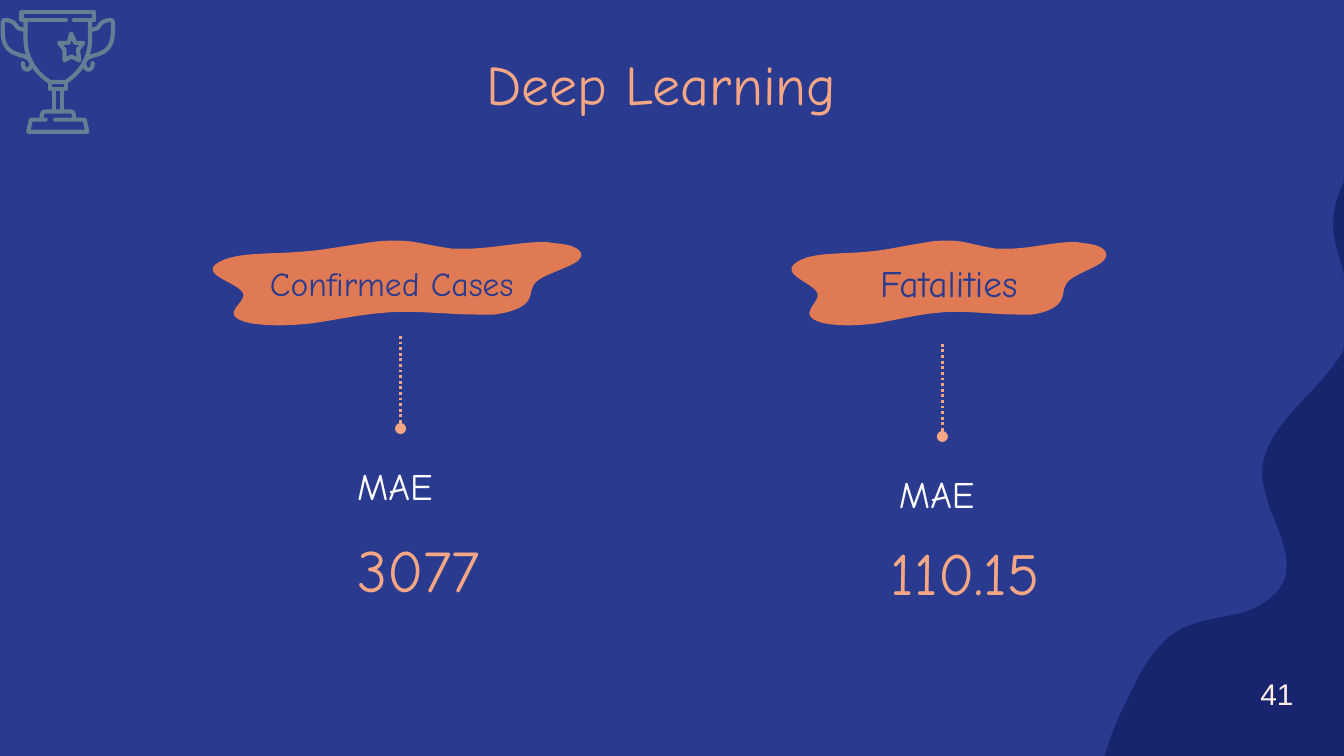
from dataclasses import dataclass

from lxml.etree import SubElement
from pptx import Presentation
from pptx.dml.color import RGBColor
from pptx.enum.dml import MSO_LINE
from pptx.enum.shapes import MSO_CONNECTOR
from pptx.enum.text import MSO_ANCHOR, PP_ALIGN
from pptx.oxml.ns import qn
from pptx.util import Cm, Pt


@dataclass(frozen=True)
class Theme:
    font: str = "Comic Neue"
    number_font: str = "Arial"
    background: str = "293A8F"
    wave: str = "18246E"
    icon: str = "657E93"
    splash: str = "E07A54"
    accent: str = "F5A785"
    light: str = "FFFFFF"
    number: str = "FDEDE7"
    title_size: int = 30
    value_size: int = 32
    label_size: int = 20
    number_size: int = 16
    dotted_width: float = 1.5
    icon_width: float = 2.25


THEME = Theme()
WIDTH, HEIGHT = 25.4, 14.29
INCH = 2.54
INSET = 0.25

TITLE = "Deep Learning"
PAGE_NUMBER = "41"
COLUMNS = [
    dict(heading="Confirmed Cases", size=18, splash=(3.73, 7.34), nudge=0.2,
         stem=(7.57, 6.35), metric="MAE", value="3077", value_at=(5.82, 9.42)),
    dict(heading="Fatalities", size=20, splash=(14.71, 6.27), nudge=0,
         stem=(17.81, 6.5), metric="MAE", value="110.15", value_at=(16.15, 9.47)),
]
SPLASH_TOP, SPLASH_WIDTH = 4.55, 2.89
STEM_LENGTH = 1.75

WAVE = [
    (10.8, 0.85), (10.73, 0.86, 10.64, 0.88, 10.56, 0.91),
    (10.24, 1.04, 9.91, 1.31, 9.92, 1.68), (9.93, 1.93, 10.09, 2.15, 10.07, 2.39),
    (10.02, 2.84, 9.39, 3.08, 9.39, 3.53), (9.4, 3.61, 9.42, 3.7, 9.45, 3.79),
    (9.47, 3.84, 9.5, 3.9, 9.52, 3.96), (9.57, 4.1, 9.6, 4.23, 9.54, 4.35),
    (9.47, 4.47, 9.33, 4.54, 9.2, 4.57), (9.06, 4.6, 8.91, 4.62, 8.79, 4.68),
    (8.6, 4.78, 8.49, 4.99, 8.4, 5.18), (8.26, 5.46, 8.12, 5.78, 8.23, 6.07),
    (10, 6.07),
]
SPLASH = [
    (1.48, 0), (1.42, 0, 1.35, 0, 1.24, 0.02), (1.01, 0.05, 0.91, 0.08, 0.64, 0.09),
    (0.42, 0.1, 0.27, 0.1, 0.16, 0.16), (0, 0.25, 0.3, 0.31, 0.34, 0.39),
    (0.37, 0.46, 0.17, 0.54, 0.34, 0.6), (0.4, 0.62, 0.5, 0.63, 0.6, 0.63),
    (0.72, 0.63, 0.85, 0.62, 0.95, 0.6), (1.14, 0.57, 1.32, 0.53, 1.55, 0.53),
    (1.73, 0.53, 1.91, 0.55, 2.08, 0.55), (2.12, 0.55, 2.17, 0.55, 2.21, 0.55),
    (2.37, 0.53, 2.45, 0.48, 2.47, 0.43), (2.49, 0.39, 2.48, 0.34, 2.53, 0.3),
    (2.59, 0.25, 2.74, 0.21, 2.82, 0.16), (2.89, 0.11, 2.87, 0.04, 2.68, 0.02),
    (2.65, 0.02, 2.62, 0.01, 2.58, 0.01), (2.39, 0.01, 2.19, 0.06, 2, 0.06),
    (1.97, 0.06, 1.93, 0.06, 1.9, 0.06), (1.68, 0.03, 1.63, 0, 1.48, 0),
]
RIM = [(0.55, 0.15), (0.7, 0.15), (0.7, 0.09), (0.16, 0.09), (0.16, 0.15), (0.49, 0.15)]
CUP = [(0.19, 0.15), (0.19, 0.29), (0.19, 0.42, 0.25, 0.53, 0.37, 0.61), (0.43, 0.61)]
HANDLE = [
    (0.19, 0.22), (0.15, 0.22, 0.13, 0.21, 0.12, 0.19), (0.1, 0.16, 0.07, 0.15, 0.04, 0.15),
    (0.02, 0.15, 0.02, 0.16, 0.02, 0.18), (0.02, 0.23),
    (0.02, 0.37, 0.09, 0.39, 0.15, 0.41), (0.2, 0.42, 0.25, 0.45, 0.23, 0.49),
    (0.22, 0.53, 0.17, 0.53, 0.17, 0.47),
]
COLLAR = [(0.43, 0.61), (0.37, 0.61), (0.37, 0.66), (0.43, 0.66)]
STEM = [(0.4, 0.67), (0.4, 0.82)]
STEP = [(0.43, 0.83), (0.34, 0.83), (0.31, 0.83, 0.31, 0.85, 0.31, 0.88)]
BASE = [(0.41, 0.89), (0.63, 0.89), (0.65, 0.98), (0.21, 0.98), (0.23, 0.89), (0.34, 0.89)]
STAR = [(0.53, 0.25), (0.56, 0.32), (0.62, 0.32), (0.58, 0.37), (0.59, 0.45),
        (0.53, 0.42), (0.48, 0.45), (0.48, 0.37), (0.44, 0.32), (0.51, 0.32), (0.53, 0.25)]


def mirror(contour, axis=0.43):
    return [tuple(2 * axis - number if index % 2 == 0 else number
                  for index, number in enumerate(segment)) for segment in contour]


def flatten(contour, steps=12):
    points = [contour[0]]
    for segment in contour[1:]:
        if len(segment) == 2:
            points.append(segment)
            continue
        start = points[-1]
        controls = start, segment[:2], segment[2:4], segment[4:]
        for step in range(1, steps + 1):
            t = step / steps
            weights = (1 - t) ** 3, 3 * t * (1 - t) ** 2, 3 * t * t * (1 - t), t ** 3
            points.append(tuple(sum(weight * point[axis] for weight, point in zip(weights, controls))
                                for axis in (0, 1)))
    return points


def add_outline(slide, contours, left=0, top=0, stretch=1, close=True):
    builder = None
    for contour in contours:
        points = [(Cm(min(left + x * INCH * stretch, WIDTH)), Cm(min(top + y * INCH, HEIGHT)))
                  for x, y in flatten(contour)]
        if builder is None:
            builder = slide.shapes.build_freeform(*points[0])
        else:
            builder.move_to(*points[0])
        builder.add_line_segments(points[1:], close=close)
    shape = builder.convert_to_shape()
    shape.shadow.inherit = False
    return shape


def add_filled(slide, contour, color, **place):
    shape = add_outline(slide, [contour], **place)
    shape.fill.solid()
    shape.fill.fore_color.rgb = RGBColor.from_string(color)
    shape.line.fill.background()
    return shape


def add_stroked(slide, contours, color):
    shape = add_outline(slide, contours, close=False)
    shape.fill.background()
    shape.line.color.rgb = RGBColor.from_string(color)
    shape.line.width = Pt(THEME.icon_width)
    shape.line._get_or_add_ln().set("cap", "rnd")


def write(shape, text, size, color, align=PP_ALIGN.LEFT, anchor=MSO_ANCHOR.TOP,
          font=THEME.font, nudge=0):
    frame = shape.text_frame
    frame.word_wrap = True
    frame.vertical_anchor = anchor
    frame.margin_left = frame.margin_top = frame.margin_bottom = Cm(INSET)
    frame.margin_right = Cm(INSET + nudge)
    frame.text = text
    paragraph = frame.paragraphs[0]
    paragraph.alignment = align
    paragraph.font.name = font
    paragraph.font.size = Pt(size)
    paragraph.font.color.rgb = RGBColor.from_string(color)


def add_text(slide, box, *content, **options):
    write(slide.shapes.add_textbox(*map(Cm, box)), *content, **options)


def add_stem(slide, x, top):
    connector = slide.shapes.add_connector(
        MSO_CONNECTOR.STRAIGHT, Cm(x), Cm(top), Cm(x), Cm(top + STEM_LENGTH))
    connector.line.color.rgb = RGBColor.from_string(THEME.accent)
    connector.line.width = Pt(THEME.dotted_width)
    connector.line.dash_style = MSO_LINE.ROUND_DOT
    SubElement(connector.line._get_or_add_ln(), qn("a:tailEnd"), type="oval")
    SubElement(connector._element.spPr, qn("a:effectLst"))


def add_column(slide, column):
    left, width = column["splash"]
    splash = add_filled(slide, SPLASH, THEME.splash, left=left, top=SPLASH_TOP,
                        stretch=width / (SPLASH_WIDTH * INCH))
    write(splash, column["heading"], column["size"], THEME.background,
          PP_ALIGN.CENTER, MSO_ANCHOR.MIDDLE, nudge=column["nudge"])
    x, top = column["stem"]
    add_stem(slide, x, top)
    add_text(slide, (x - 1.07, top + 2.16, 3.28, 1.42), column["metric"],
             THEME.label_size, THEME.light)
    add_text(slide, (*column["value_at"], 4.19, 2.67), column["value"],
             THEME.value_size, THEME.accent, PP_ALIGN.CENTER, MSO_ANCHOR.MIDDLE)


def main():
    presentation = Presentation()
    presentation.slide_width, presentation.slide_height = Cm(WIDTH), Cm(HEIGHT)
    slide = presentation.slides.add_slide(presentation.slide_layouts[5])
    slide.background.fill.solid()
    slide.background.fill.fore_color.rgb = RGBColor.from_string(THEME.background)

    add_filled(slide, WAVE, THEME.wave)
    title = slide.shapes.title
    title.left, title.top, title.width, title.height = map(Cm, (1.3, 0.69, 22.78, 2.11))
    write(title, TITLE, THEME.title_size, THEME.accent, PP_ALIGN.CENTER, nudge=0.38)

    halves = [CUP, HANDLE, COLLAR, STEM, STEP]
    add_stroked(slide, [RIM, BASE, *halves, *map(mirror, halves)], THEME.icon)
    add_stroked(slide, [STAR], THEME.icon)
    for column in COLUMNS:
        add_column(slide, column)
    add_text(slide, (23.57, 12.52, 1.4, 1.2), PAGE_NUMBER, THEME.number_size, THEME.number,
             font=THEME.number_font)
    presentation.save("out.pptx")


if __name__ == "__main__":
    main()
